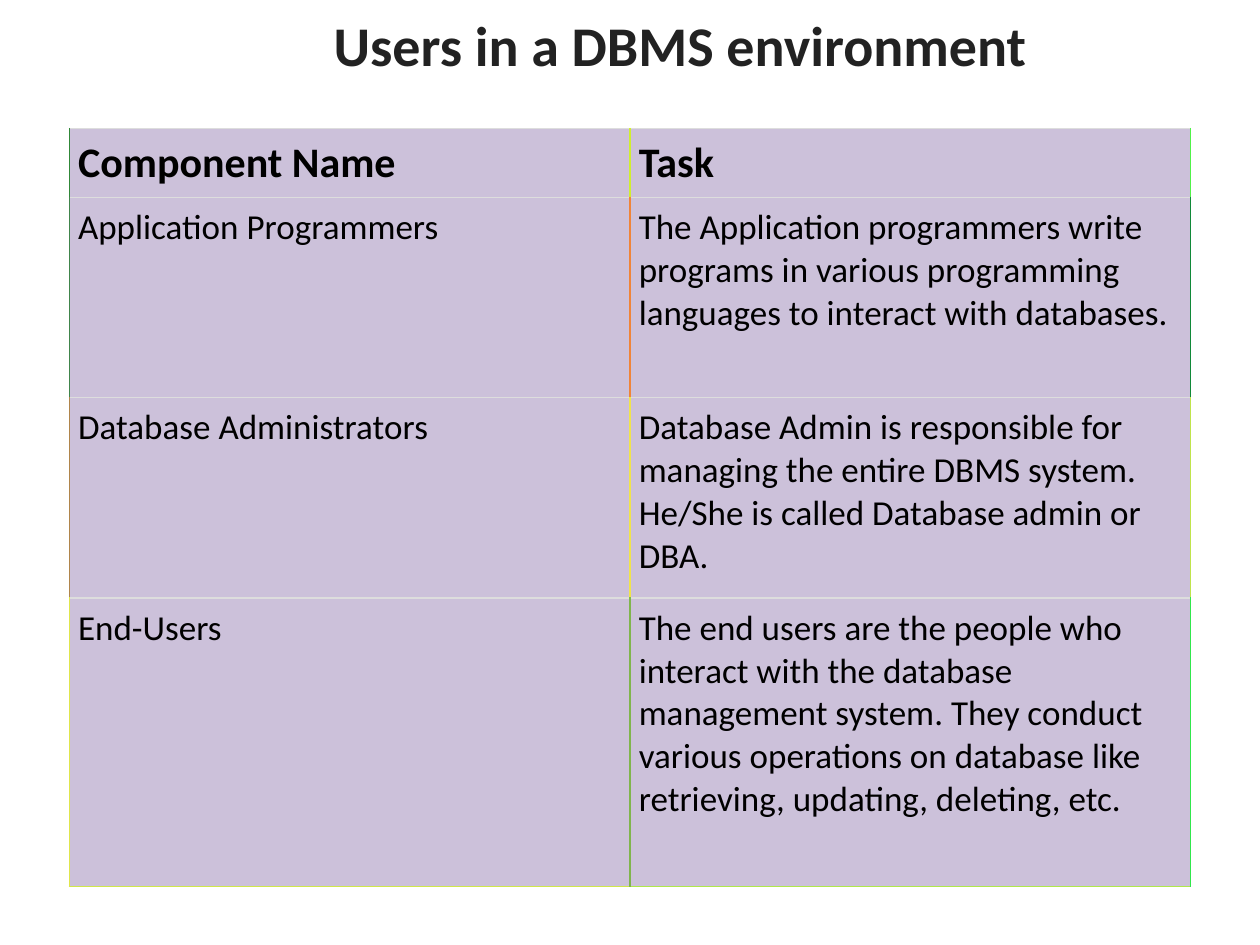
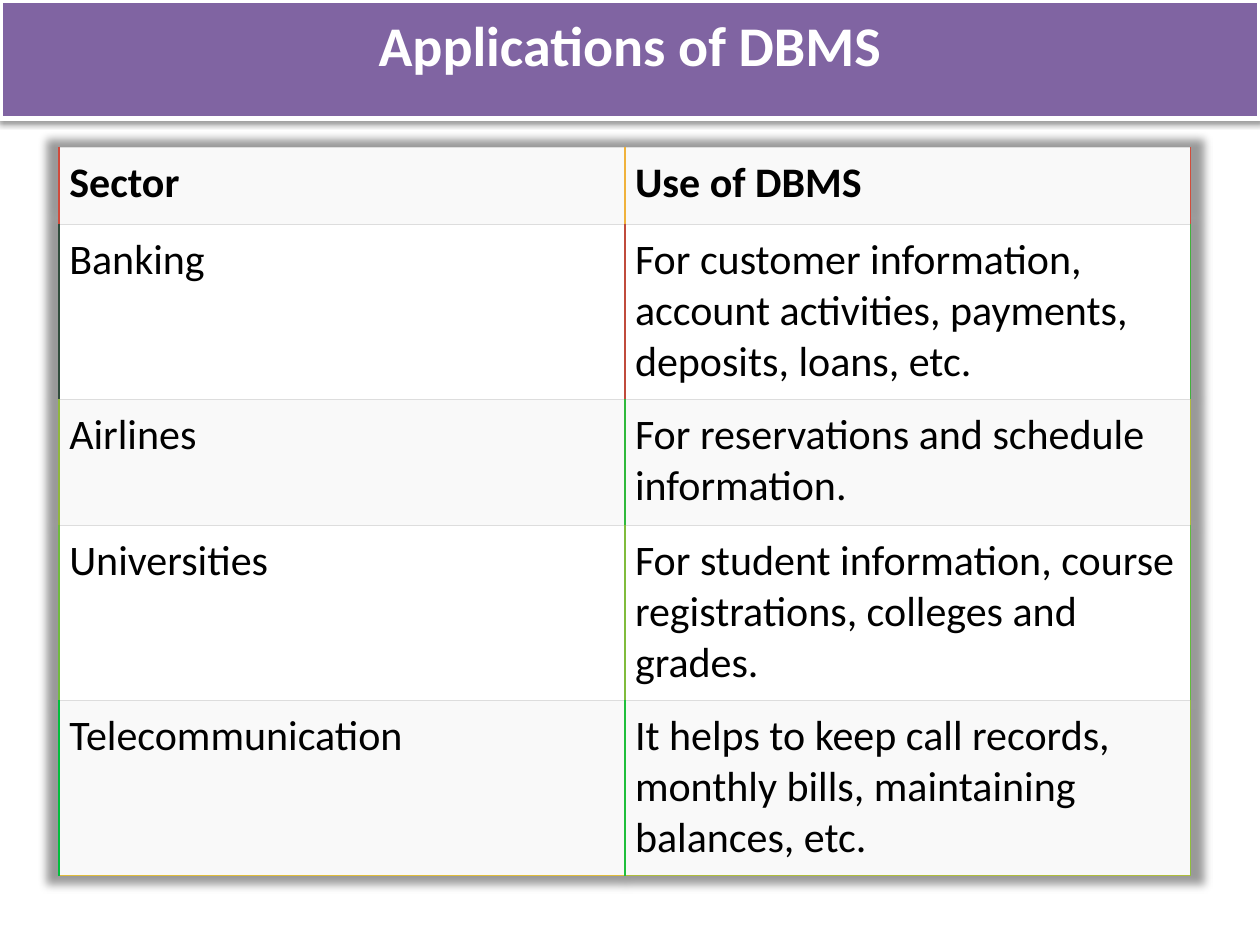
from lxml import etree
from pptx import Presentation
from pptx.dml.color import RGBColor
from pptx.enum.text import MSO_ANCHOR, MSO_AUTO_SIZE, PP_ALIGN
from pptx.oxml.ns import qn
from pptx.util import Inches, Pt

TOP, CENTER, NO_FIT = MSO_ANCHOR.TOP, PP_ALIGN.CENTER, MSO_AUTO_SIZE.NONE
TITLE_ONLY = 5
FONT = "Calibri"
BLACK, WHITE, RULE = "000000", "FFFFFF", "DDDDDD"
LILAC, PURPLE, PALE = "CCC1DA", "8064A2", "F9F9F9"
TITLE_HEIGHT = 0.94

# Content: "rules" holds the left, middle and right rule colours of each row
SLIDES = [
    {
        "title": "Users in a DBMS environment",
        "band": {"left": 0.31, "width": 9.38, "indent": 0.8, "fill": WHITE,
                 "color": "222222", "raised": False},
        "table": {"at": (0.55, 1.02), "col": 4.45, "inset": 0.07, "size": 20,
                  "fills": [LILAC], "raised": False,
                  "heights": [0.54, 1.59, 1.59, 2.29],
                  "bottom": ["D0E64B", "B0E74B"]},
        "rows": [
            ("Component Name", "Task"),
            ("Application Programmers",
             "The Application programmers write programs in various "
             "programming languages to interact with databases."),
            ("Database Administrators",
             "Database Admin is responsible for managing the entire DBMS "
             "system. He/She is called Database admin or DBA."),
            ("End-Users",
             "The end users are the people who interact with the database "
             "management system. They conduct various operations on database "
             "like retrieving, updating, deleting, etc."),
        ],
        "rules": [
            ("308838", "D0EF2F", "50F247"),
            ("40854B", "F08438", "108938"),
            ("B0854B", "F0E44B", "C0E44B"),
            ("E0E64B", "80B54C", "30E74B"),
        ],
    },
    {
        "title": "Applications of DBMS",
        "band": {"left": 0, "width": 10, "indent": 0, "fill": PURPLE,
                 "color": WHITE, "raised": True},
        "table": {"at": (0.47, 1.17), "col": 4.49, "inset": 0.08, "size": 24,
                  "fills": [PALE, WHITE], "raised": True,
                  "heights": [0.61, 1.39, 1, 1.39, 1.39],
                  "bottom": ["E0BD3C", "B0BE3C"]},
        "rows": [
            ("Sector", "Use of DBMS"),
            ("Banking",
             "For customer information, account activities, payments, "
             "deposits, loans, etc."),
            ("Airlines", "For reservations and schedule information."),
            ("Universities",
             "For student information, course registrations, colleges and "
             "grades."),
            ("Telecommunication",
             "It helps to keep call records, monthly bills, maintaining "
             "balances, etc."),
        ],
        "rules": [
            ("D04B3C", "F0B23C", "D04C3C"),
            ("304C3C", "C04B3C", "40B13C"),
            ("90B73C", "30B93C", "B0B83C"),
            ("70BB3C", "80BC3C", "60BC3C"),
            ("00BE3C", "20BF3C", "90BE3C"),
        ],
    },
]


def rgb(color):
    return RGBColor.from_string(color)


def set_font(p, size, color, bold):
    p.font.name, p.font.size, p.font.bold = FONT, Pt(size), bold
    p.font.color.rgb = rgb(color)


def sub(parent, tag, **attrs):
    return etree.SubElement(parent, qn(tag),
                            {k: str(v) for k, v in attrs.items()})


def add_shadow(parent, alpha, **attrs):
    """Add a black outer shadow with the given opacity in percent."""
    shadow = sub(sub(parent, "a:effectLst"), "a:outerShdw",
                 rotWithShape=0, **attrs)
    sub(sub(shadow, "a:srgbClr", val=BLACK), "a:alpha", val=alpha * 1000)


def add_border(cell, side, color, width):
    ln = sub(cell._tc.get_or_add_tcPr(), "a:ln" + side, w=Pt(width))
    sub(sub(ln, "a:solidFill"), "a:srgbClr", val=color)


def add_title(s, text, band):
    sp = s.shapes.title
    sp.left, sp.top = Inches(band["left"]), Inches(0)
    sp.width, sp.height = Inches(band["width"]), Inches(TITLE_HEIGHT)
    sp.fill.solid()
    sp.fill.fore_color.rgb = rgb(band["fill"])
    if band["raised"]:
        sp.line.color.rgb = rgb(WHITE)
        sp.line.width = Pt(3)
        add_shadow(sp._element.spPr, 38, blurRad=Pt(3.1), dist=Pt(1.6),
                   dir=90 * 60000)
    tf = sp.text_frame
    tf.text = text
    tf.auto_size, tf.vertical_anchor, tf.word_wrap = NO_FIT, TOP, True
    tf.margin_top = Inches(0.08)
    tf.margin_left = Inches(0.1 + band["indent"])
    p = tf.paragraphs[0]
    p.alignment = CENTER
    set_font(p, 32, band["color"], True)


def fill_cell(cell, text, inset, size, bold, fill):
    cell.text = text
    cell.margin_left = cell.margin_right = Inches(inset)
    cell.margin_top = cell.margin_bottom = Inches(inset)
    cell.vertical_anchor = TOP
    cell.fill.solid()
    cell.fill.fore_color.rgb = rgb(fill)
    set_font(cell.text_frame.paragraphs[0], size, BLACK, bold)


def add_grid(s, rows, rules, look):
    left, top = look["at"]
    heights, fills = look["heights"], look["fills"]
    table = s.shapes.add_table(
        len(rows), 2, Inches(left), Inches(top),
        Inches(2 * look["col"]), Inches(sum(heights))).table
    table.first_row = table.horz_banding = False
    if look["raised"]:
        tbl_pr = table._tbl.tblPr
        add_shadow(tbl_pr, 40, blurRad=Pt(5), sx=102000, sy=102000,
                   algn="ctr")
        tbl_pr.insert(0, tbl_pr[-1])  # effects precede the style id
    for column in table.columns:
        column.width = Inches(look["col"])
    for i, (texts, colors) in enumerate(zip(rows, rules)):
        table.rows[i].height = Inches(heights[i])
        last = i == len(rows) - 1
        for j, text in enumerate(texts):
            cell = table.cell(i, j)
            add_border(cell, "L", colors[j], 1)
            add_border(cell, "R", colors[j + 1], 1)
            add_border(cell, "T", RULE, 0.75)
            add_border(cell, "B", look["bottom"][j] if last else RULE,
                       1 if last else 0.75)
            fill_cell(cell, text, look["inset"],
                      24 if i == 0 else look["size"], i == 0,
                      fills[i % len(fills)])


def main():
    prs = Presentation()
    prs.slide_width, prs.slide_height = Inches(10), Inches(7.5)
    for data in SLIDES:
        s = prs.slides.add_slide(prs.slide_layouts[TITLE_ONLY])
        add_title(s, data["title"], data["band"])
        add_grid(s, data["rows"], data["rules"], data["table"])
    prs.save("out.pptx")


if __name__ == "__main__":
    main()
